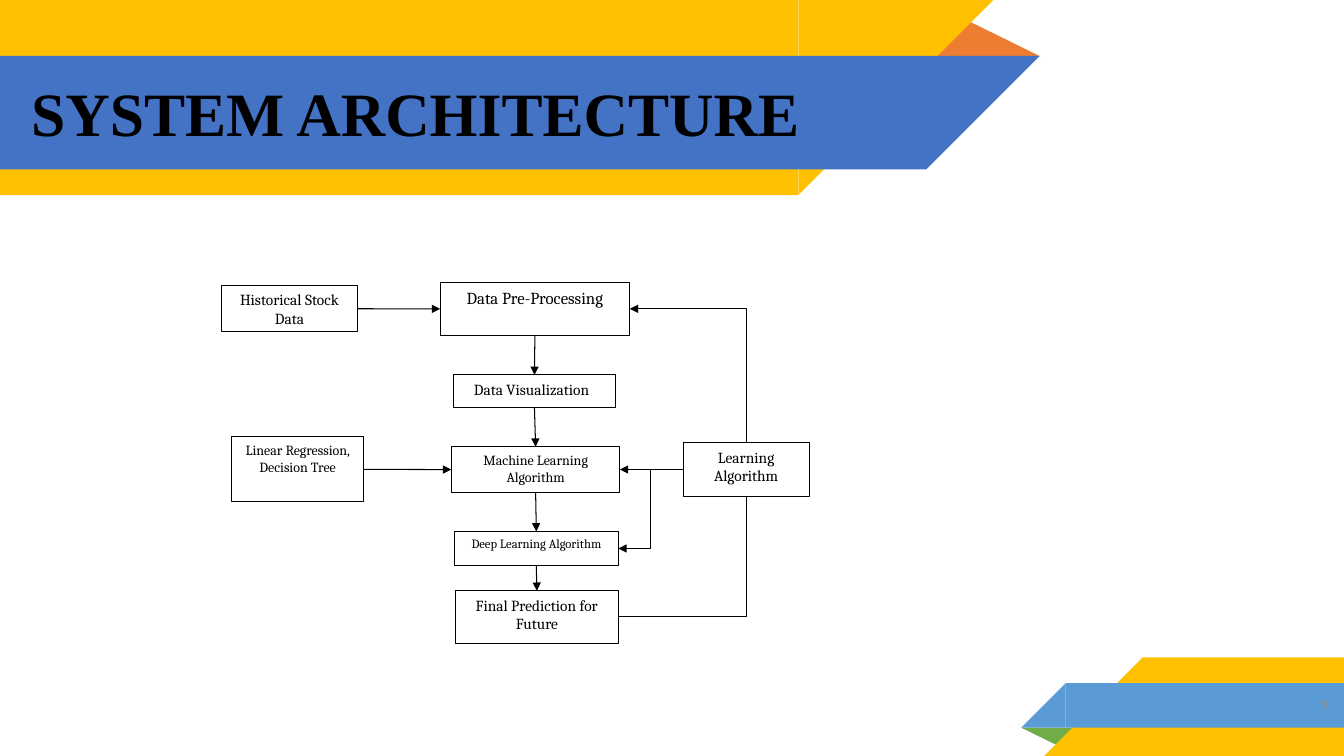
from lxml.etree import SubElement
from pptx import Presentation
from pptx.dml.color import RGBColor
from pptx.enum.shapes import MSO_CONNECTOR as LINK, MSO_SHAPE as SHAPE
from pptx.enum.text import MSO_ANCHOR as ANCHOR, PP_ALIGN as ALIGN
from pptx.oxml.ns import qn
from pptx.util import Pt

BLACK = RGBColor(0x00, 0x00, 0x00)
WHITE = RGBColor(0xFF, 0xFF, 0xFF)
GOLD = RGBColor(0xFF, 0xC0, 0x00)
BLUE = RGBColor(0x44, 0x72, 0xC4)
SKY = RGBColor(0x5B, 0x9B, 0xD5)
ORANGE = RGBColor(0xED, 0x7D, 0x31)
GREEN = RGBColor(0x70, 0xAD, 0x47)
GRAY = RGBColor(0x89, 0x89, 0x89)

SLIDE_W, SLIDE_H = 960, 540
TOP, LEFT, BOTTOM, RIGHT = range(4)  # connection sites of a rectangle

# name: left, top, width, height (within the diagram), text, font size
STEPS = {
    "history": (0, 2.2, 97.2, 33.1, "Historical Stock Data", 11),
    "preprocess": (156.2, 0, 135.4, 37.6, "Data Pre-Processing", 12),
    "visualize": (165.6, 66, 115.9, 23.3, "Data Visualization", 11),
    "machine": (164.2, 117.3, 120.4, 32.6, "Machine Learning Algorithm", 10),
    "deep": (166.3, 177.8, 117.2, 24.5, "Deep Learning Algorithm", 9),
    "learning": (329.8, 114.4, 90, 38.4, "Learning Algorithm", 11),
    "models": (7.2, 110.2, 94.3, 46.6, "Linear Regression, Decision Tree", 10),
    "prediction": (167, 220.2, 116.6, 37.4, "Final Prediction for Future", 11),
}
VISUALIZE_INDENT = 14.7

# start, its site, end, its site, preset, end that carries the arrowhead
FLOWS = [
    ("history", RIGHT, "preprocess", LEFT, "line", "tailEnd"),
    ("models", RIGHT, "machine", LEFT, "line", "tailEnd"),
    ("preprocess", BOTTOM, "visualize", TOP, "line", "tailEnd"),
    ("visualize", BOTTOM, "machine", TOP, "line", "tailEnd"),
    ("machine", BOTTOM, "deep", TOP, "line", "tailEnd"),
    ("deep", BOTTOM, "prediction", TOP, "line", "tailEnd"),
    ("learning", LEFT, "machine", RIGHT, "line", "tailEnd"),
    ("learning", LEFT, "deep", RIGHT, "bentConnector3", "tailEnd"),
    ("prediction", RIGHT, "learning", BOTTOM, "bentConnector2", None),
    ("preprocess", RIGHT, "learning", TOP, "bentConnector2", "headEnd"),
]


def add_plain(slide, kind, left, top, width, height, fill, rotation=0):
    """Add a preset shape with a flat fill and neither line nor shadow."""
    shape = slide.shapes.add_shape(kind, Pt(left), Pt(top), Pt(width), Pt(height))
    shape.shadow.inherit = False
    shape.fill.solid()
    shape.fill.fore_color.rgb = fill
    shape.line.fill.background()
    shape.rotation = rotation
    return shape


def add_fold(slide, left, top, width, height, fill, rotation=0):
    fold = add_plain(slide, SHAPE.ISOSCELES_TRIANGLE, left, top, width, height, fill, rotation)
    fold.adjustments[0] = 0.324


def add_band(slide, left, top, width, height, fill, slant_left=False):
    """Add a band whose right (or left) end is cut at 45 degrees."""
    body_left = left + height if slant_left else left
    slant = left if slant_left else left + width - height
    add_plain(slide, SHAPE.RECTANGLE, body_left, top, width - height, height, fill)
    add_plain(slide, SHAPE.RIGHT_TRIANGLE, slant, top, height, height, fill,
              rotation=270 if slant_left else 90)


def add_header(slide, left, top, title):
    add_fold(slide, left + 661, top + 13, 82, 27.2, ORANGE)
    add_band(slide, left, top, 709.6, 139.4, GOLD)
    add_band(slide, left, top + 40, 742.6, 81, BLUE)
    add_text(slide, left + 15.2, top + 43.2, 635, 80.6, title, 44, BLACK, bold=True)


def add_footer(slide, right, bottom, number):
    add_fold(slide, right - 230.5, bottom - 20.2, 41, 13.6, GREEN, rotation=180)
    add_band(slide, right - 214.2, bottom - 70.5, 214.2, 70.5, GOLD, slant_left=True)
    add_band(slide, right - 230.5, bottom - 52, 230.5, 31.7, SKY, slant_left=True)
    add_text(slide, right - 84, bottom - 52, 80, 31.7, number, 10, GRAY, align=ALIGN.RIGHT)


def add_text(slide, left, top, width, height, text, size, color,
             bold=False, align=ALIGN.LEFT):
    frame = slide.shapes.add_textbox(Pt(left), Pt(top), Pt(width), Pt(height)).text_frame
    frame.word_wrap = True
    frame.vertical_anchor = ANCHOR.MIDDLE
    frame.margin_top = frame.margin_bottom = Pt(7.2)
    paragraph = frame.paragraphs[0]
    paragraph.text = text
    paragraph.alignment = align
    paragraph.line_spacing = 0.9
    set_font(paragraph.font, "Times New Roman", size, color, bold)


def set_font(font, name, size, color, bold=False):
    font.name, font.size, font.bold = name, Pt(size), bold
    font.color.rgb = color


def add_step(slide, left, top, width, height, text, size):
    step = add_plain(slide, SHAPE.RECTANGLE, left, top, width, height, WHITE)
    step.line.color.rgb = BLACK
    step.line.width = Pt(0.75)
    step.text_frame.vertical_anchor = ANCHOR.TOP
    paragraph = step.text_frame.paragraphs[0]
    paragraph.text = text
    paragraph.alignment = ALIGN.CENTER
    set_font(paragraph.font, "Cambria", size, BLACK)
    return step


def add_flow(slide, start, start_site, end, end_site, preset, arrow_end):
    """Join two steps with a straight or bent line."""
    kind = LINK.STRAIGHT if preset == "line" else LINK.ELBOW
    flow = slide.shapes.add_connector(kind, 0, 0, 0, 0)
    flow.begin_connect(start, start_site)
    flow.end_connect(end, end_site)
    flow.line.color.rgb = BLACK
    flow.line.width = Pt(0.75)
    properties = flow.element.spPr
    properties.find(qn("a:prstGeom")).set("prst", preset)
    if arrow_end:
        SubElement(flow.get_or_add_ln(), qn(f"a:{arrow_end}"), type="triangle")
    SubElement(properties, qn("a:effectLst"))


def add_diagram(slide, left, top):
    steps = {name: add_step(slide, left + x, top + y, *rest)
             for name, (x, y, *rest) in STEPS.items()}
    visualize = steps["visualize"].text_frame
    visualize.margin_left = Pt(VISUALIZE_INDENT)
    visualize.paragraphs[0].alignment = ALIGN.LEFT
    for start, start_site, end, end_site, preset, arrow_end in FLOWS:
        add_flow(slide, steps[start], start_site, steps[end], end_site, preset, arrow_end)


def main():
    deck = Presentation()
    deck.slide_width, deck.slide_height = Pt(SLIDE_W), Pt(SLIDE_H)
    slide = deck.slides.add_slide(deck.slide_layouts[6])
    add_header(slide, 0, 0, "SYSTEM ARCHITECTURE")
    add_footer(slide, SLIDE_W, SLIDE_H, "9")
    add_diagram(slide, 158.2, 201.8)
    deck.save("out.pptx")


if __name__ == "__main__":
    main()
